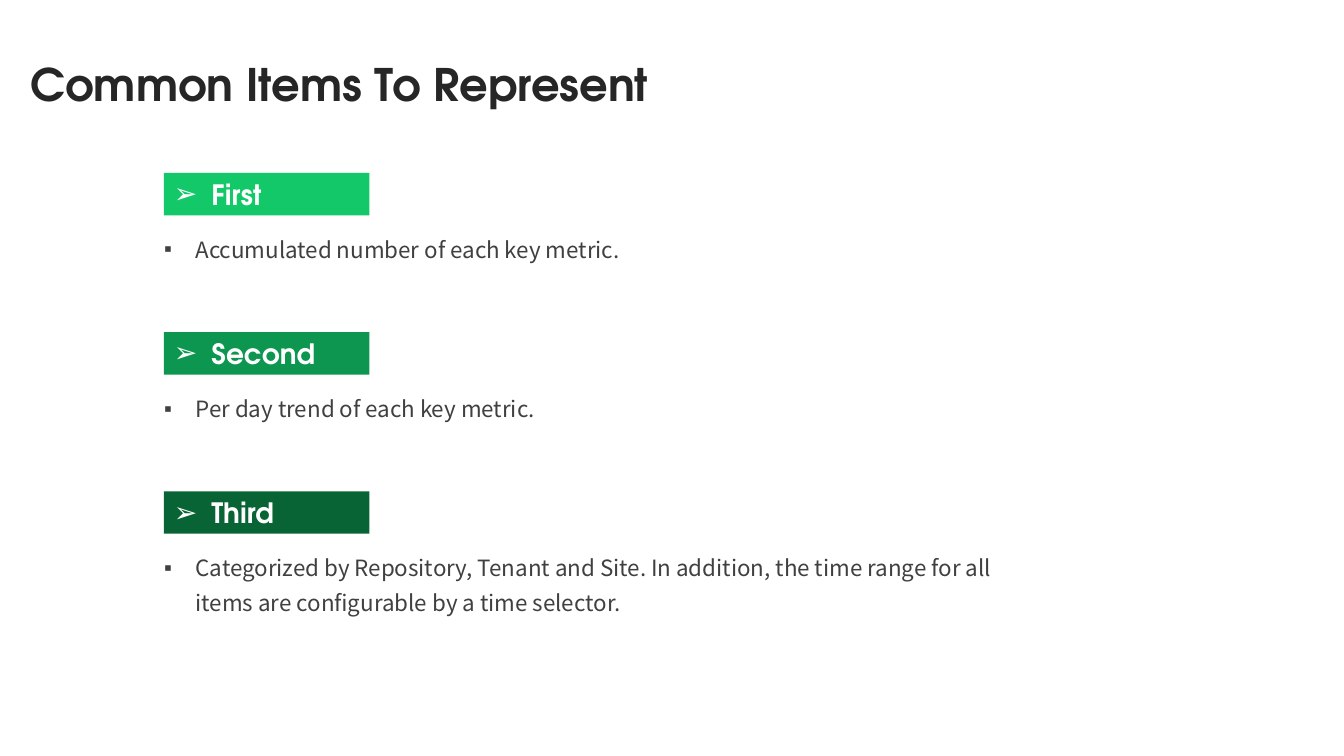
import pptx
import pptx.util
import pptx.dml.color
import pptx.enum.shapes
import pptx.enum.text
import pptx.oxml.ns
import lxml.etree

Cm, Pt = pptx.util.Cm, pptx.util.Pt
ANCHOR = pptx.enum.text.MSO_ANCHOR
LEFT = pptx.enum.text.PP_ALIGN.LEFT

TITLE = "Common Items To Represent"
# heading, heading colour, description, description width and height in cm
ITEMS = [
    ("First", "first", "Accumulated number of each key metric.", 12.67, 0.99),
    ("Second", "second", "Per day trend of each key metric.", 10.01, 0.99),
    ("Third", "third",
     "Categorized by Repository, Tenant and Site. In addition, the time range "
     "for all items are configurable by a time selector.", 22.78, 1.88),
]
COLORS = {"title": "262626", "body": "404040", "white": "FFFFFF",
          "first": "12C869", "second": "0D964F", "third": "096435"}
HEAD_FONT, BODY_FONT = "TeX Gyre Adventor", "Noto Sans CJK SC"

HEAD_LEFT, HEAD_TOP, HEAD_W, HEAD_H = 4.13, 4.36, 5.18, 1.07
BODY_LEFT, BODY_DROP = 3.96, 1.28
ITEM_STEP = 4.01


def rgb(name):
    return pptx.dml.color.RGBColor.from_string(COLORS[name])


def write(p, text, size, font, color, bold=False):
    p.alignment = LEFT
    r = p.add_run()
    r.text = text
    r.font.size, r.font.name, r.font.bold = Pt(size), font, bold
    r.font.color.rgb = rgb(color)


def add_bullet(p, char, indent):
    pPr = p._p.get_or_add_pPr()
    pPr.set("marL", str(Cm(indent)))
    pPr.set("indent", str(-Cm(indent)))
    for tag, key, value in (("a:buFont", "typeface", "Arial"),
                            ("a:buChar", "char", char)):
        bu = lxml.etree.SubElement(pPr, pptx.oxml.ns.qn(tag))
        bu.set(key, value)


def add_heading(s, text, color, top):
    sp = s.shapes.add_shape(pptx.enum.shapes.MSO_SHAPE.RECTANGLE,
                            Cm(HEAD_LEFT), Cm(top), Cm(HEAD_W), Cm(HEAD_H))
    sp.shadow.inherit = False
    sp.fill.solid()
    sp.fill.fore_color.rgb = rgb(color)
    sp.line.fill.background()
    tf = sp.text_frame
    tf.vertical_anchor = ANCHOR.MIDDLE
    p = tf.paragraphs[0]
    write(p, text, 20, HEAD_FONT, "white", True)
    add_bullet(p, "➢", 0.95)


def add_description(s, text, top, width, height):
    tf = s.shapes.add_textbox(Cm(BODY_LEFT), Cm(top), Cm(width), Cm(height)).text_frame
    tf.word_wrap = True
    tf.auto_size = pptx.enum.text.MSO_AUTO_SIZE.SHAPE_TO_FIT_TEXT
    tf.margin_left = tf.margin_right = Cm(0.18)
    tf.margin_top = tf.margin_bottom = Cm(0.1)
    p = tf.paragraphs[0]
    p.line_spacing = 1.3
    write(p, text, 16, BODY_FONT, "body")
    add_bullet(p, "▪", 0.79)


def main():
    prs = pptx.Presentation()
    prs.slide_width, prs.slide_height = Cm(33.87), Cm(19.05)
    s = prs.slides.add_slide(prs.slide_layouts[5])

    title = s.shapes.title
    title.left, title.top, title.width, title.height = Cm(0.51), Cm(1.3), Cm(16.84), Cm(3)
    tf = title.text_frame
    tf.vertical_anchor = ANCHOR.TOP
    tf.word_wrap = True
    tf.auto_size = pptx.enum.text.MSO_AUTO_SIZE.NONE
    write(tf.paragraphs[0], TITLE, 32, HEAD_FONT, "title", True)

    for i, (heading, color, text, width, height) in enumerate(ITEMS):
        top = HEAD_TOP + i * ITEM_STEP
        add_heading(s, heading, color, top)
        add_description(s, text, top + BODY_DROP, width, height)

    prs.save("out.pptx")


if __name__ == "__main__":
    main()
